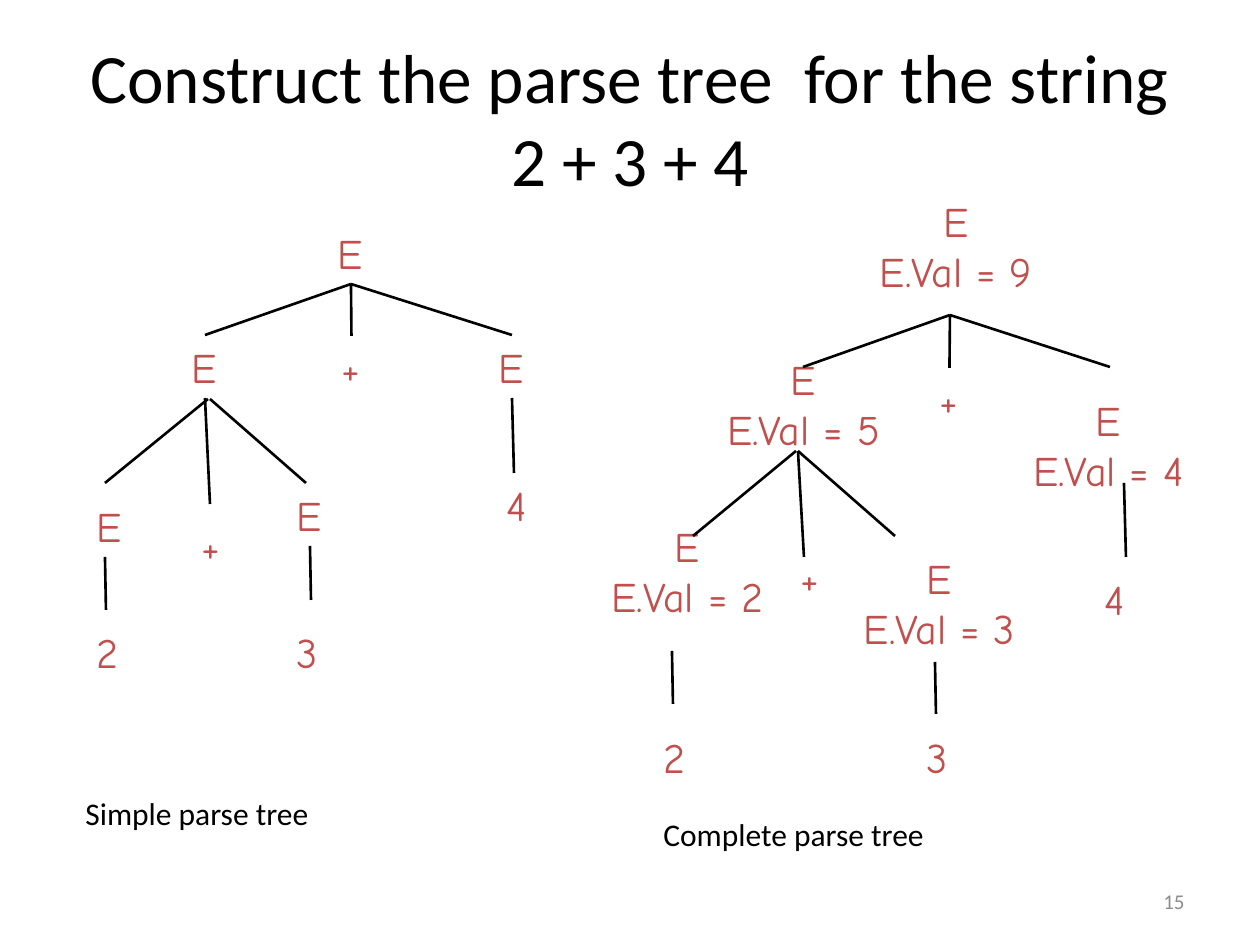
from pptx import Presentation
from pptx.dml.color import RGBColor
from pptx.enum.shapes import MSO_CONNECTOR as Connector
from pptx.enum.text import MSO_ANCHOR as Anchor, PP_ALIGN as Align
from pptx.oxml.ns import qn
from pptx.util import Pt
from lxml.etree import SubElement

EMU_PER_PX = 914400 / 126
COLORS = {"text": "000000", "node": "C0504D", "number": "8C8C8C", "line": "000000"}
TOP, BOTTOM = 0, 2
NODE_W, VALUE_W = 52, 221

# name: (lines of text, left, top, width)
SIMPLE_NODES = {
    "root": (["E"], 325, 221, NODE_W),
    "left": (["E"], 179, 335, NODE_W),
    "plus": (["+"], 329, 336, 45),
    "right": (["E"], 486, 335, NODE_W),
    "left E1": (["E"], 84, 494, NODE_W),
    "left plus": (["+"], 189, 514, 45),
    "left E2": (["E"], 284, 483, NODE_W),
    "leaf 2": (["2"], 84, 620, 58),
    "leaf 3": (["3"], 284, 620, 58),
    "leaf 4": (["4"], 494, 473, NODE_W),
}
COMPLETE_NODES = {
    "root": (["E", "E.Val = 9"], 809, 189, 294),
    "left": (["E", "E.Val = 5"], 693, 347, VALUE_W),
    "plus": (["+"], 927, 368, 45),
    "right": (["E", "E.Val = 4"], 998, 388, VALUE_W),
    "left E1": (["E", "E.Val = 2"], 577, 514, VALUE_W),
    "left plus": (["+"], 788, 546, 45),
    "left E2": (["E", "E.Val = 3"], 829, 546, VALUE_W),
    "leaf 2": (["2"], 651, 725, 58),
    "leaf 3": (["3"], 914, 725, 58),
    "leaf 4": (["4"], 1092, 567, NODE_W),
}

# Each end is a point, or the name of the node that it joins
SIMPLE_BRANCHES = [
    ("root", "left"),
    ("root", "plus"),
    ("root", "right"),
    ((208, 399), (105, 483)),
    ("left", (210, 504)),
    ((210, 399), (306, 483)),
    ((105, 557), (106, 610)),
    ("left E2", (311, 600)),
    ("right", (514, 473)),
]
COMPLETE_BRANCHES = [
    ((950, 315), (803, 367)),
    ((950, 315), "plus"),
    ((950, 315), (1110, 367)),
    ((796, 451), (693, 536)),
    ((798, 451), (804, 557)),
    ((798, 451), (895, 536)),
    ((672, 651), (673, 704)),
    ((935, 662), (936, 714)),
    ((1124, 483), (1126, 557)),
]


def px(n):
    return round(n * EMU_PER_PX)


def add_text(slide, lines, box, size, color="text", font="Calibri",
             align=Align.LEFT, anchor=Anchor.TOP):
    s = slide.shapes.add_textbox(*map(px, box))
    tf = s.text_frame
    tf.word_wrap = True
    tf.vertical_anchor = anchor
    tf.text = "\n".join(lines)
    for p in tf.paragraphs:
        p.alignment = align
        p.font.size = Pt(size)
        p.font.name = font
        p.font.color.rgb = RGBColor.from_string(COLORS[color])
    return s


def add_node(slide, lines, left, top, width):
    height = 63 if len(lines) == 1 else 115
    align = Align.LEFT if len(lines) == 1 else Align.CENTER
    return add_text(slide, lines, (left, top, width, height), 24,
                    "node", "Comic Neue", align)


def add_branch(slide, shapes, start, end):
    """Draw a line downwards, joined to the nodes that are given by name."""
    x1, y1 = (0, 0) if start in shapes else start
    x2, y2 = (0, 0) if end in shapes else end
    line = slide.shapes.add_connector(Connector.STRAIGHT, px(x1), px(y1), px(x2), px(y2))
    if start in shapes:
        line.begin_connect(shapes[start], BOTTOM)
    if end in shapes:
        line.end_connect(shapes[end], TOP)
    line.line.color.rgb = RGBColor.from_string(COLORS["line"])
    line.line.width = Pt(1.5)
    SubElement(line._element.spPr, qn("a:effectLst"))


def add_tree(slide, nodes, branches):
    shapes = {name: add_node(slide, *node) for name, node in nodes.items()}
    for start, end in branches:
        add_branch(slide, shapes, start, end)


def main():
    prs = Presentation()
    prs.slide_width, prs.slide_height = px(1260), px(945)
    slide = prs.slides.add_slide(prs.slide_layouts[6])

    add_text(slide, ["Construct the parse tree  for the string 2 + 3 + 4"],
             (63, 38, 1134, 158), 39.6, align=Align.CENTER, anchor=Anchor.MIDDLE)
    add_tree(slide, SIMPLE_NODES, SIMPLE_BRANCHES)
    add_tree(slide, COMPLETE_NODES, COMPLETE_BRANCHES)
    add_text(slide, ["Simple parse tree"], (73, 788, 336, 50), 18)
    add_text(slide, ["Complete parse tree"], (651, 809, 462, 50), 18)
    add_text(slide, ["15"], (903, 876, 294, 50), 12, "number",
             align=Align.RIGHT, anchor=Anchor.MIDDLE)

    prs.save("out.pptx")


if __name__ == "__main__":
    main()
